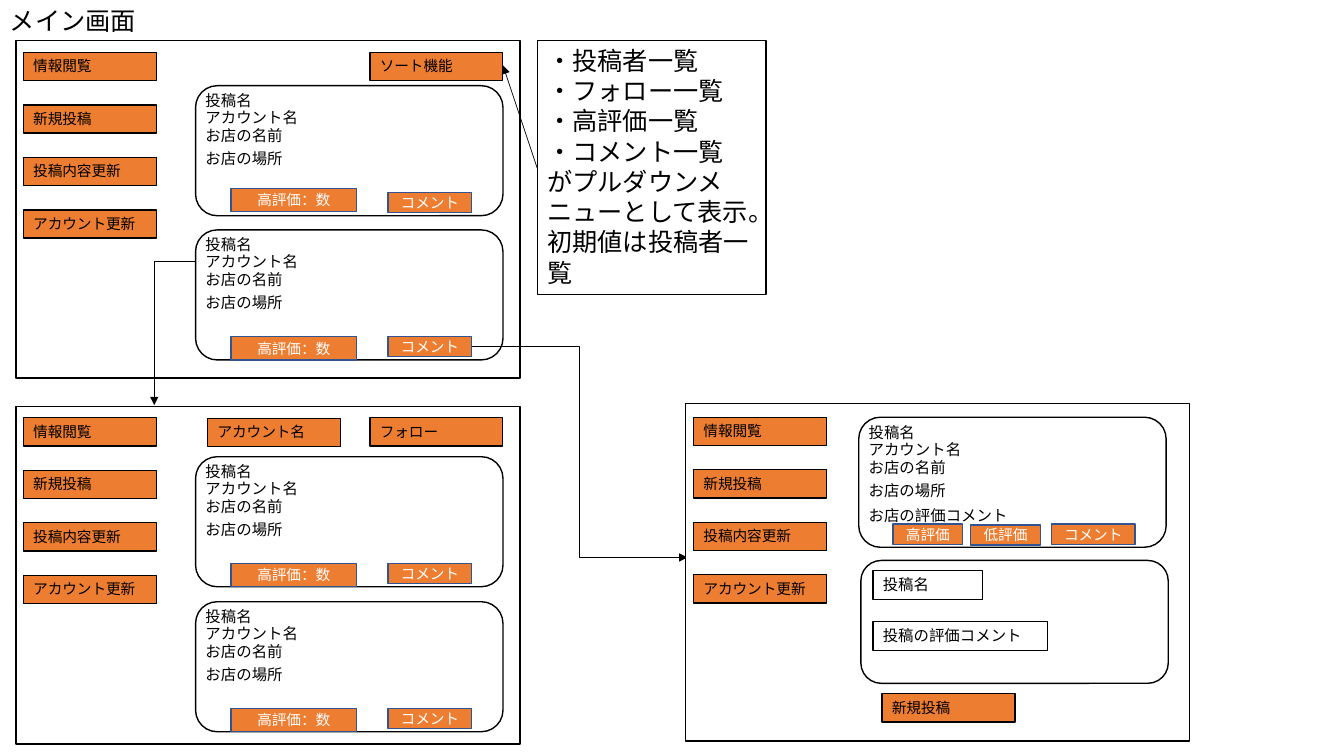
from lxml import etree
from pptx import Presentation
from pptx.dml.color import RGBColor
from pptx.enum.shapes import MSO_CONNECTOR, MSO_SHAPE
from pptx.enum.text import MSO_ANCHOR, MSO_AUTO_SIZE, PP_ALIGN
from pptx.oxml.ns import qn
from pptx.util import Pt

RECT, ROUNDED = MSO_SHAPE.RECTANGLE, MSO_SHAPE.ROUNDED_RECTANGLE
STRAIGHT, ELBOW = MSO_CONNECTOR.STRAIGHT, MSO_CONNECTOR.ELBOW
LEFT, CENTER = PP_ALIGN.LEFT, PP_ALIGN.CENTER
TOP, MIDDLE = MSO_ANCHOR.TOP, MSO_ANCHOR.MIDDLE
GROW, FIXED = MSO_AUTO_SIZE.SHAPE_TO_FIT_TEXT, MSO_AUTO_SIZE.NONE

FONT = "Noto Sans CJK JP"
BLACK = RGBColor(0x00, 0x00, 0x00)
WHITE = RGBColor(0xFF, 0xFF, 0xFF)
ORANGE = RGBColor(0xED, 0x7D, 0x31)
NAVY = RGBColor(0x32, 0x54, 0x91)

MENU = ["情報閲覧", "新規投稿", "投稿内容更新", "アカウント更新"]
MENU_PITCH = 37.5
POST_FIELDS = [
    ("投稿名", 0.5, 78.5),
    ("アカウント名", 12.5, 86.4),
    ("お店の名前", 25.5, 78.5),
    ("お店の場所", 41.8, 78.5),
]
REVIEW_FIELD = ("お店の評価コメント", 59.8, 124.6)
SORT_NOTE = [
    "・投稿者一覧",
    "・フォロー一覧",
    "・高評価一覧",
    "・コメント一覧",
    "がプルダウンメニューとして表示。",
    "初期値は投稿者一覧",
]


def write(shape, lines, size=10.5, color=BLACK, align=LEFT, anchor=TOP, fit=GROW):
    """Fill a shape with one paragraph per line in the given format."""
    frame = shape.text_frame
    frame.word_wrap = True
    frame.auto_size = fit
    frame.vertical_anchor = anchor
    for index, line in enumerate(lines):
        paragraph = frame.add_paragraph() if index else frame.paragraphs[0]
        paragraph.alignment = align
        run = paragraph.add_run()
        run.text = line
        run.font.size = Pt(size)
        run.font.color.rgb = color
        run.font.name = FONT
        etree.SubElement(run.font._element, qn("a:ea"), typeface=FONT)


def add_box(slide, left, top, width, height, fill=WHITE, line=BLACK, kind=RECT):
    """Draw a filled and outlined shape."""
    box = slide.shapes.add_shape(kind, Pt(left), Pt(top), Pt(width), Pt(height))
    box.shadow.inherit = False
    box.fill.solid()
    box.fill.fore_color.rgb = fill
    box.line.color.rgb = line
    box.line.width = Pt(1)
    return box


def add_label(slide, text, left, top, width, height=20.9, size=11):
    """Place a line of plain text."""
    label = slide.shapes.add_textbox(Pt(left), Pt(top), Pt(width), Pt(height))
    write(label, [text], size=size)


def add_button(slide, text, left, top):
    """Draw a navigation button."""
    write(add_box(slide, left, top, 95, 20.2, ORANGE), [text])


def add_action(slide, text, left, top, width, height=14.4):
    """Draw a small button that belongs to a post."""
    action = add_box(slide, left, top, width, height, ORANGE, NAVY)
    write(action, [text], color=WHITE, align=CENTER, anchor=MIDDLE, fit=FIXED)


def add_field(slide, text, left, top, width):
    """Draw an outlined input field."""
    write(add_box(slide, left, top, width, 20.9), [text], size=11)


def add_screen(slide, left, top, menu_left, menu_top):
    """Draw a screen frame with its menu."""
    add_box(slide, left, top, 360, 241.2)
    for row, text in enumerate(MENU):
        add_button(slide, text, menu_left, menu_top + row * MENU_PITCH)


def add_card(slide, left, top, fields):
    """Draw a post card with its fields."""
    add_box(slide, left, top, 219.6, 92.9, kind=ROUNDED)
    for text, offset, width in fields:
        add_label(slide, text, left, top + offset, width)


def add_post(slide, top, like_offset=76.3):
    """Draw a post of the list with its like and comment buttons."""
    left = 139.7
    add_card(slide, left, top, POST_FIELDS)
    add_action(slide, "高評価：数", left + 25.2, top + like_offset, 90, 16.6)
    add_action(slide, "コメント", left + 137.5, top + 76.3, 59.8)


def add_arrow(slide, start, end, kind, preset=None):
    """Draw a thin arrow, with another preset geometry if given."""
    arrow = slide.shapes.add_connector(kind, *(Pt(v) for v in (*start, *end)))
    arrow.line.color.rgb = BLACK
    arrow.line.width = Pt(0.5)
    properties = arrow.element.spPr
    etree.SubElement(properties.find(qn("a:ln")), qn("a:tailEnd"), type="triangle")
    etree.SubElement(properties, qn("a:effectLst"))
    if preset:
        properties.find(qn("a:prstGeom")).set("prst", preset)


def main():
    """Build the screen flow slide."""
    deck = Presentation()
    deck.slide_width, deck.slide_height = Pt(960), Pt(540)
    slide = deck.slides.add_slide(deck.slide_layouts[6])

    add_screen(slide, 11.5, 28.8, 16.6, 37.4)
    add_label(slide, "メイン画面", 0, 0, 279.4, 28.8, size=18)
    add_button(slide, "ソート機能", 264.2, 37.4)
    add_post(slide, 61.2, like_offset=73.4)
    add_post(slide, 164.2)
    write(add_box(slide, 383.8, 28.8, 163.4, 181.4), SORT_NOTE, size=18)
    add_arrow(slide, (383.8, 120.2), (359.3, 46.8), STRAIGHT)
    add_arrow(slide, (139.7, 186.5), (110.2, 289.4), ELBOW, "bentConnector2")

    add_screen(slide, 11.5, 290.2, 16.6, 298.4)
    add_button(slide, "フォロー", 264.2, 298.4)
    add_button(slide, "アカウント名", 148.3, 298.8)
    add_post(slide, 326.2)
    add_post(slide, 429.8)
    add_arrow(slide, (337, 247.7), (491, 398.2), ELBOW)

    add_screen(slide, 489.6, 288, 495.4, 298)
    add_card(slide, 613.4, 298, POST_FIELDS + [REVIEW_FIELD])
    add_action(slide, "高評価", 637.9, 374.4, 49.7)
    add_action(slide, "低評価", 693.4, 375, 49.7)
    add_action(slide, "コメント", 751, 374.4, 59.8)
    add_box(slide, 614.9, 400.3, 219.6, 87.8, kind=ROUNDED)
    add_field(slide, "投稿名", 623.5, 407.5, 78.5)
    add_field(slide, "投稿の評価コメント", 623.5, 443.9, 124.6)
    add_button(slide, "新規投稿", 630, 495.4)

    deck.save("out.pptx")


main()
